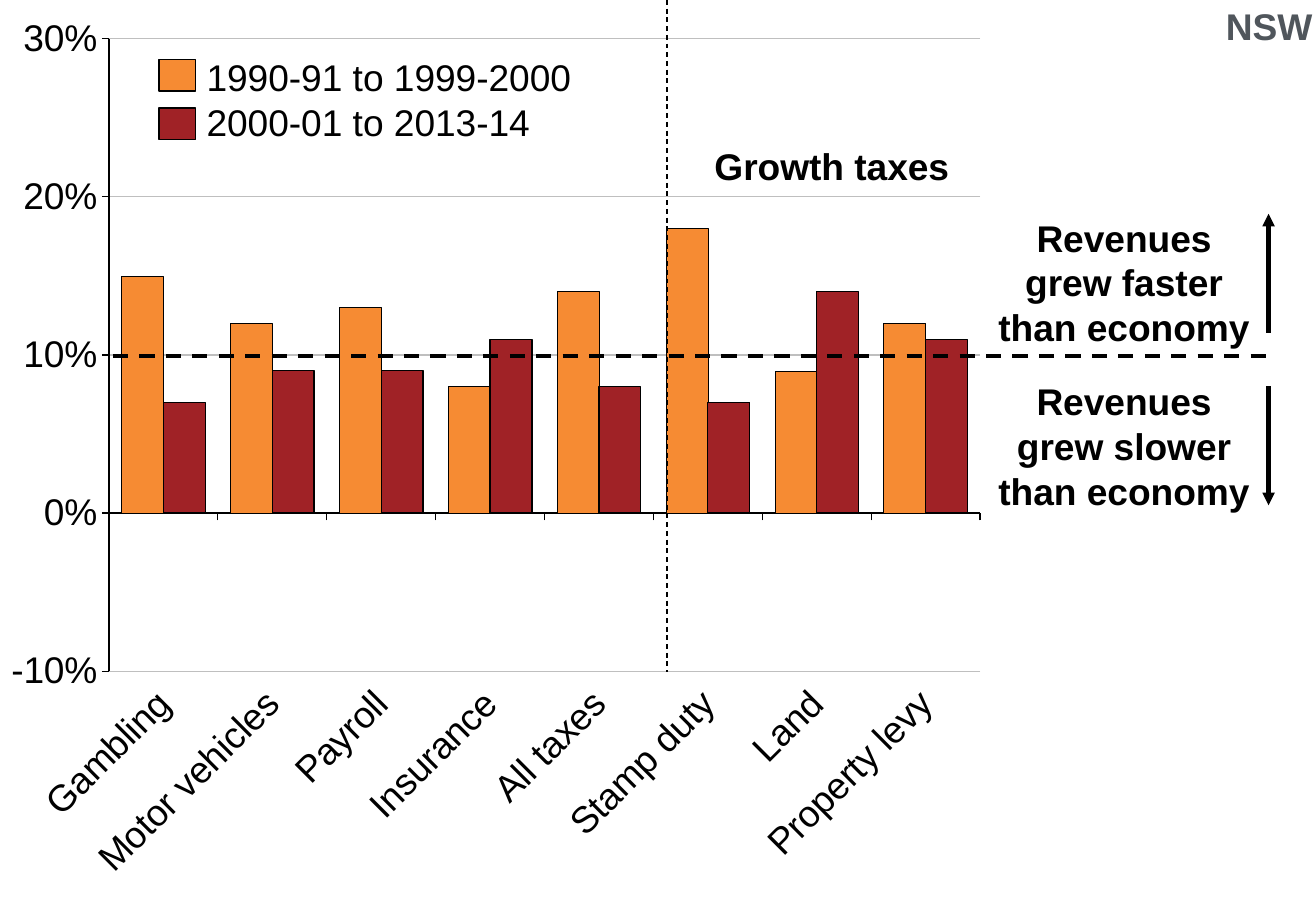
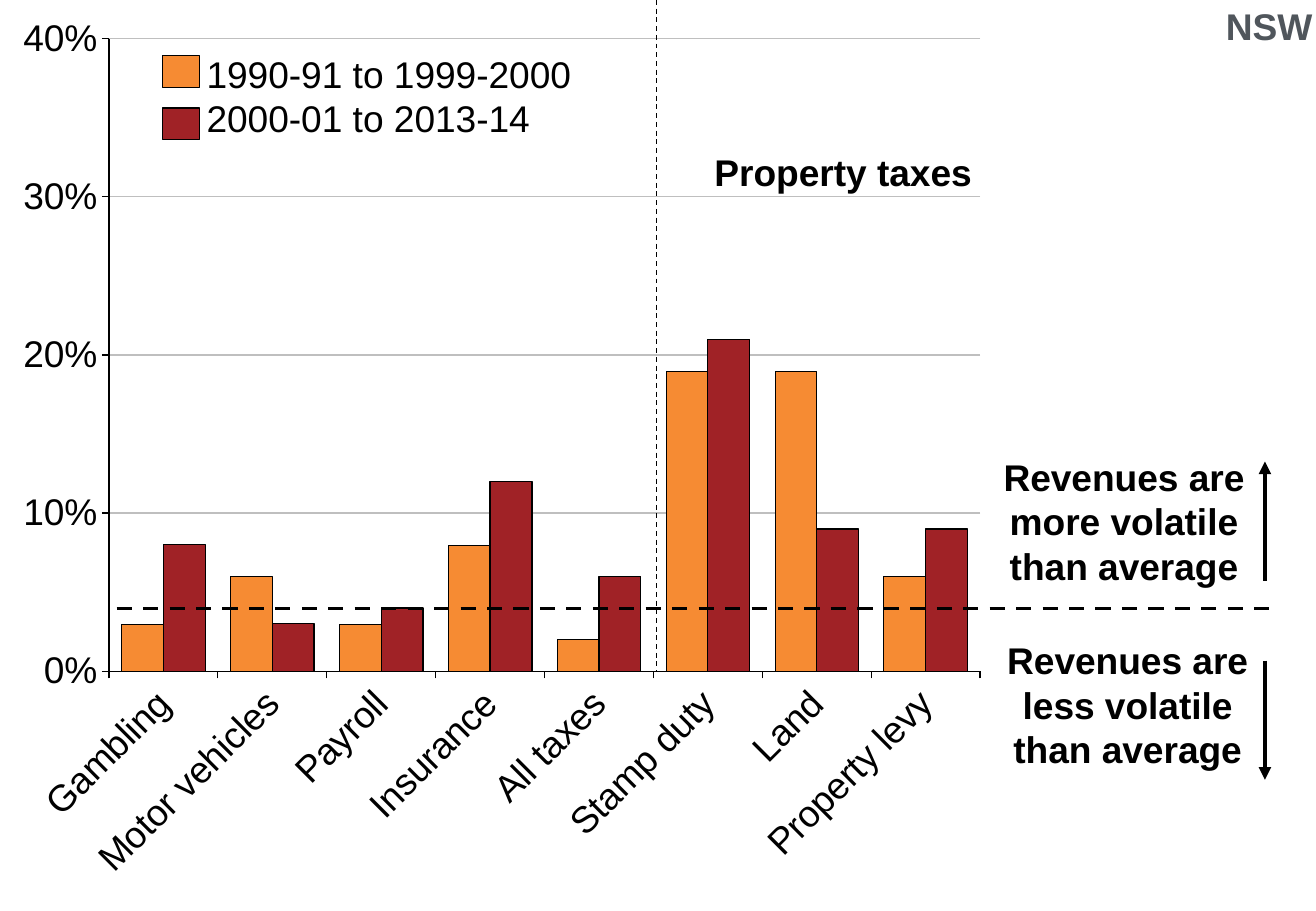
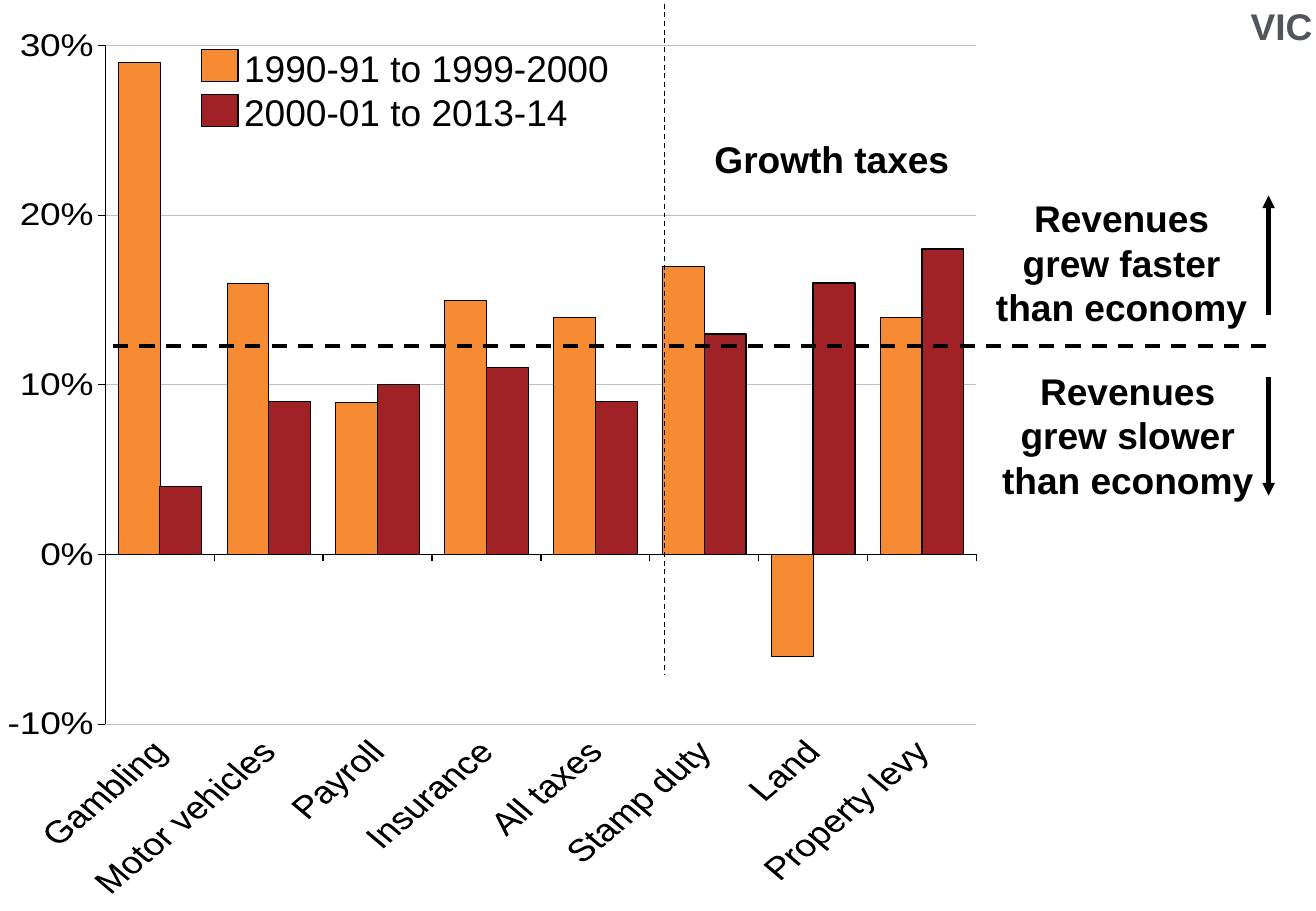
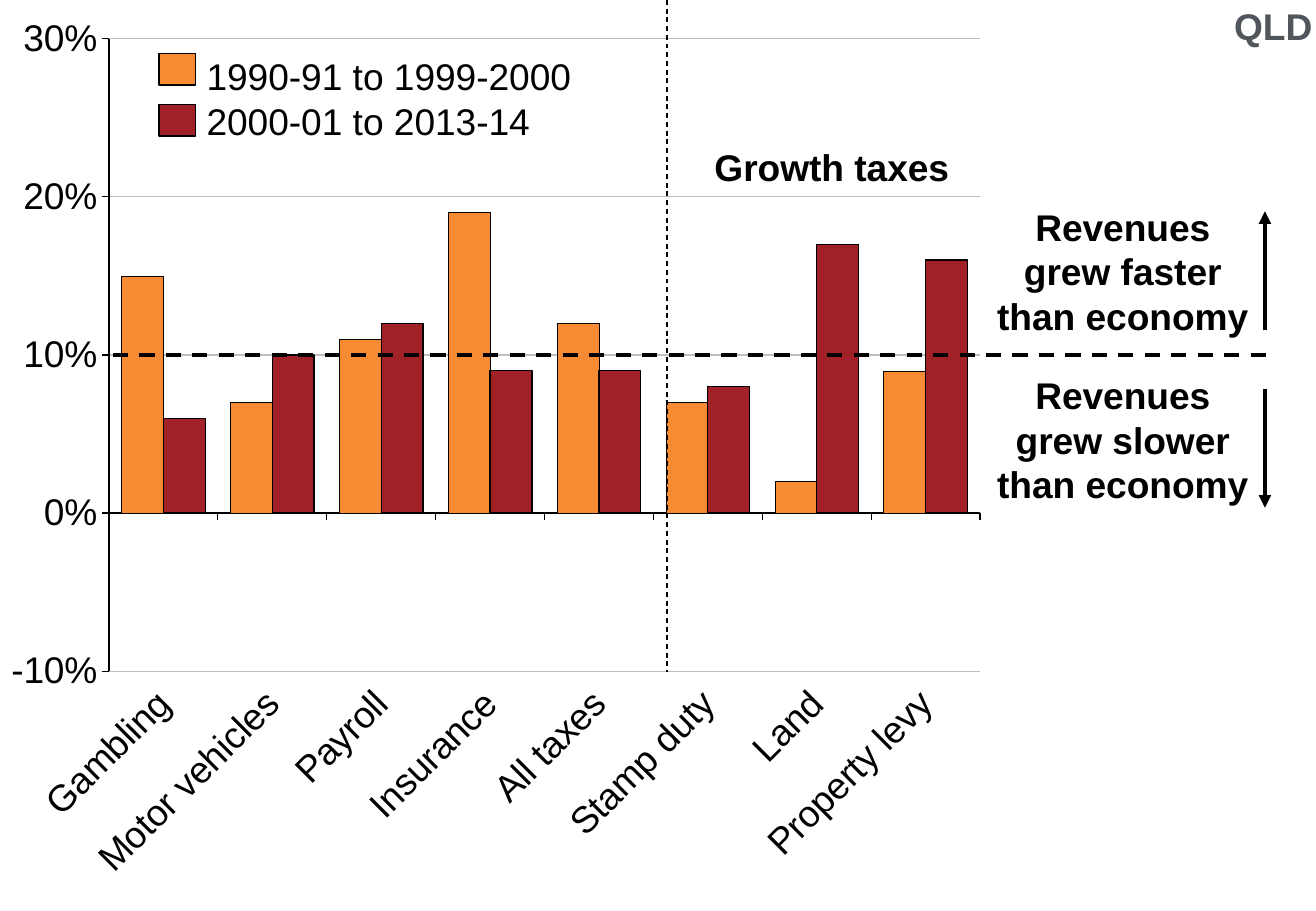
from dataclasses import dataclass
from typing import Optional

from pptx import Presentation
from pptx.chart.data import CategoryChartData
from pptx.dml.color import RGBColor
from pptx.enum.chart import XL_CHART_TYPE, XL_TICK_LABEL_POSITION, XL_TICK_MARK
from pptx.enum.dml import MSO_LINE
from pptx.enum.shapes import MSO_CONNECTOR, MSO_SHAPE
from pptx.enum.text import MSO_ANCHOR, PP_ALIGN
from pptx.oxml import parse_xml
from pptx.oxml.ns import nsdecls, qn
from pptx.util import Inches, Pt

COLORS = {
    "ink": "000000",
    "state": "50565C",
    "grid": "BFBFBF",
    "nineties": "F68B33",
    "recent": "A02226",
}
FONT = "Arial"
TEXT_SIZE = 22
TITLE_LAYOUT = 5
TAXES = ["Gambling", "Motor vehicles", "Payroll", "Insurance",
         "All taxes", "Stamp duty", "Land", "Property levy"]
PERIODS = ["1990-91 to 1999-2000", "2000-01 to 2013-14"]
PERIOD_COLORS = ["nineties", "recent"]
SERIES_LINES = [0.25, 0.75]
NOTE_SIZE = (2.32, 1.21)
ARROW_LENGTH = 0.98
DIVIDER_LENGTH = 5.53
THRESHOLD_LENGTH = 9.56
GROWTH_NOTES = ["Revenues grew faster than economy",
                "Revenues grew slower than economy"]
VOLATILITY_NOTES = ["Revenues are more volatile than average",
                    "Revenues are less volatile than average"]


@dataclass
class TaxSlide:
    """Content and placement of one slide, in inches; pairs run up, then down."""
    state: str
    values: list
    group: str
    group_top: float
    notes: list
    note_spots: list
    arrow_left: float
    arrow_starts: list
    threshold: tuple
    divider: tuple
    legend_spot: tuple
    swatch_left: float
    swatch_tops: list
    chart_box: tuple = (0.03, 0, 10.83, 7.41)
    plot_height: float = 0.703
    minimum: Optional[float] = -0.1
    maximum: float = 0.3


TAX_SLIDES = [
    TaxSlide(
        state="NSW",
        values=[[0.15, 0.12, 0.13, 0.08, 0.14, 0.18, 0.09, 0.12],
                [0.07, 0.09, 0.09, 0.11, 0.08, 0.07, 0.14, 0.11]],
        group="Growth taxes", group_top=1.18,
        notes=GROWTH_NOTES, note_spots=[(8.09, 1.72), (8.09, 3.07)],
        arrow_left=10.44, arrow_starts=[2.74, 3.18],
        threshold=(0.93, 2.93), divider=(5.49, 0),
        legend_spot=(1.7, 0.45), swatch_left=1.31, swatch_tops=[0.49, 0.89]),
    TaxSlide(
        state="NSW",
        values=[[0.03, 0.06, 0.03, 0.08, 0.02, 0.19, 0.19, 0.06],
                [0.08, 0.03, 0.04, 0.12, 0.06, 0.21, 0.09, 0.09]],
        group="Property taxes", group_top=1.23,
        notes=VOLATILITY_NOTES, note_spots=[(8.09, 3.69), (8.12, 5.2)],
        arrow_left=10.41, arrow_starts=[4.78, 5.44],
        threshold=(0.96, 5.01), divider=(5.4, 0),
        legend_spot=(1.7, 0.42), swatch_left=1.34, swatch_tops=[0.46, 0.89],
        minimum=0, maximum=0.4),
    TaxSlide(
        state="VIC",
        values=[[0.29, 0.16, 0.09, 0.15, 0.14, 0.17, -0.06, 0.14],
                [0.04, 0.09, 0.1, 0.11, 0.09, 0.13, 0.16, 0.18]],
        group="Growth taxes", group_top=1.12,
        notes=GROWTH_NOTES, note_spots=[(8.07, 1.56), (8.12, 2.98)],
        arrow_left=10.44, arrow_starts=[2.59, 3.1],
        threshold=(0.93, 2.85), divider=(5.47, 0.03),
        legend_spot=(2.01, 0.37), swatch_left=1.66, swatch_tops=[0.41, 0.78],
        chart_box=(0, 0.11, 10.83, 7.3), plot_height=0.905, minimum=None),
    TaxSlide(
        state="QLD",
        values=[[0.15, 0.07, 0.11, 0.19, 0.12, 0.07, 0.02, 0.09],
                [0.06, 0.1, 0.12, 0.09, 0.09, 0.08, 0.17, 0.16]],
        group="Growth taxes", group_top=1.19,
        notes=GROWTH_NOTES, note_spots=[(8.08, 1.63), (8.08, 3.02)],
        arrow_left=10.41, arrow_starts=[2.72, 3.2],
        threshold=(0.93, 2.92), divider=(5.49, 0),
        legend_spot=(1.7, 0.44), swatch_left=1.31, swatch_tops=[0.44, 0.86]),
]


def color(name):
    return RGBColor.from_string(COLORS[name])


def set_font(font, ink="ink", size=TEXT_SIZE, bold=False):
    font.name = FONT
    font.size = Pt(size)
    font.bold = bold
    font.color.rgb = color(ink)


def set_line(line, width, ink="ink"):
    line.color.rgb = color(ink)
    line.width = Pt(width)


def fill_frame(frame, lines, align=PP_ALIGN.LEFT, inset=True, ink="ink", bold=True):
    frame.word_wrap = True
    frame.vertical_anchor = MSO_ANCHOR.TOP
    frame.margin_left = frame.margin_right = Inches(0.1 if inset else 0)
    frame.margin_top = frame.margin_bottom = Inches(0.05 if inset else 0)
    frame.text = "\n".join(lines)
    for para in frame.paragraphs:
        para.alignment = align
        for span in para.runs:
            set_font(span.font, ink, bold=bold)


def add_text(page, box, lines, **style):
    shape = page.shapes.add_textbox(*map(Inches, box))
    fill_frame(shape.text_frame, lines, **style)


def add_line(page, start, end, width, dashed=False, arrow=False):
    line = page.shapes.add_connector(
        MSO_CONNECTOR.STRAIGHT, *map(Inches, (*start, *end)))
    set_line(line.line, width)
    if dashed:
        line.line.dash_style = MSO_LINE.DASH
    if arrow:
        line.line._get_or_add_ln().append(
            parse_xml(f'<a:tailEnd {nsdecls("a")} type="triangle"/>'))
    line._element.spPr.append(parse_xml(f'<a:effectLst {nsdecls("a")}/>'))


def set_plot_area(chart, left, top, width, height):
    """Fix the inner plot area, in fractions of the chart."""
    sizes = "".join(f'<c:{tag} val="{value}"/>' for tag, value in
                    zip("xywh", (left, top, width, height)))
    layout = parse_xml(
        f'<c:layout {nsdecls("c")}><c:manualLayout><c:layoutTarget val="inner"/>'
        f'<c:xMode val="edge"/><c:yMode val="edge"/>{sizes}'
        '</c:manualLayout></c:layout>')
    area = chart._chartSpace.chart.plotArea
    for old in area.findall(qn("c:layout")):
        area.remove(old)
    area.insert(0, layout)


def format_axes(chart, minimum, maximum):
    for axis in (chart.category_axis, chart.value_axis):
        axis.major_tick_mark = XL_TICK_MARK.OUTSIDE
        axis.minor_tick_mark = XL_TICK_MARK.NONE
        set_line(axis.format.line, 0.75)
        set_font(axis.tick_labels.font)
    categories, scale = chart.category_axis, chart.value_axis
    categories.has_major_gridlines = False
    categories.tick_label_position = XL_TICK_LABEL_POSITION.LOW
    label_body = categories._element.find(qn("c:txPr")).find(qn("a:bodyPr"))
    label_body.set("rot", "-2700000")
    scale.minimum_scale = minimum
    scale.maximum_scale = maximum
    scale.major_unit = 0.1
    scale.tick_labels.number_format = "0%"
    scale.tick_labels.number_format_is_linked = False
    scale.has_major_gridlines = True
    set_line(scale.major_gridlines.format.line, 0.75, "grid")


def add_tax_chart(page, tax):
    data = CategoryChartData(number_format="0%")
    data.categories = TAXES
    for number, values in enumerate(tax.values, 1):
        data.add_series(f"Series {number}", values)
    chart = page.shapes.add_chart(
        XL_CHART_TYPE.COLUMN_CLUSTERED, *map(Inches, tax.chart_box), data).chart
    chart.has_title = False
    chart.has_legend = False
    set_font(chart.font, size=18)
    set_plot_area(chart, 0.08, 0.043, 0.662, tax.plot_height)
    format_axes(chart, tax.minimum, tax.maximum)
    plot = chart.plots[0]
    plot.gap_width = 60
    plot.overlap = 0
    plot.vary_by_categories = False
    for series, fill, width in zip(plot.series, PERIOD_COLORS, SERIES_LINES):
        series.invert_if_negative = False
        series.format.fill.solid()
        series.format.fill.fore_color.rgb = color(fill)
        set_line(series.format.line, width)


def add_legend(page, spot, swatch_left, swatch_tops):
    for top, fill in zip(swatch_tops, PERIOD_COLORS):
        swatch = page.shapes.add_shape(
            MSO_SHAPE.RECTANGLE, *map(Inches, (swatch_left, top, 0.3, 0.26)))
        swatch.shadow.inherit = False
        swatch.fill.solid()
        swatch.fill.fore_color.rgb = color(fill)
        set_line(swatch.line, 0.75)
    add_text(page, (*spot, 3.7, 0.74), PERIODS, inset=False, bold=False)


def add_threshold(page, tax):
    """Draw the dashed level with a note and an arrow on either side."""
    left, top = tax.threshold
    add_line(page, (left, top), (left + THRESHOLD_LENGTH, top), 2.25, dashed=True)
    for note, spot, start, direction in zip(
            tax.notes, tax.note_spots, tax.arrow_starts, (-1, 1)):
        add_text(page, (*spot, *NOTE_SIZE), [note], align=PP_ALIGN.CENTER)
        end = start + direction * ARROW_LENGTH
        add_line(page, (tax.arrow_left, start), (tax.arrow_left, end), 2.5, arrow=True)


def add_tax_group(page, tax):
    """Divide off the taxes on the right and name them."""
    left, top = tax.divider
    add_line(page, (left, top), (left, top + DIVIDER_LENGTH), 0.75, dashed=True)
    add_text(page, (5.88, tax.group_top, 2.23, 0.37), [tax.group], inset=False)


def set_state_title(page, state):
    title = page.shapes.title
    title.left, title.top, title.width, title.height = map(
        Inches, (9.46, -0.02, 1.44, 0.47))
    fill_frame(title.text_frame, [state], align=PP_ALIGN.RIGHT, ink="state")
    page.shapes._spTree.append(title._element)  # keeps the title above the chart


def add_tax_slide(deck, tax):
    page = deck.slides.add_slide(deck.slide_layouts[TITLE_LAYOUT])
    add_tax_chart(page, tax)
    add_threshold(page, tax)
    add_tax_group(page, tax)
    add_legend(page, tax.legend_spot, tax.swatch_left, tax.swatch_tops)
    set_state_title(page, tax.state)


def main():
    deck = Presentation()
    deck.slide_width = Inches(10.83)
    deck.slide_height = Inches(7.5)
    for tax in TAX_SLIDES:
        add_tax_slide(deck, tax)
    deck.save("out.pptx")


if __name__ == "__main__":
    main()
